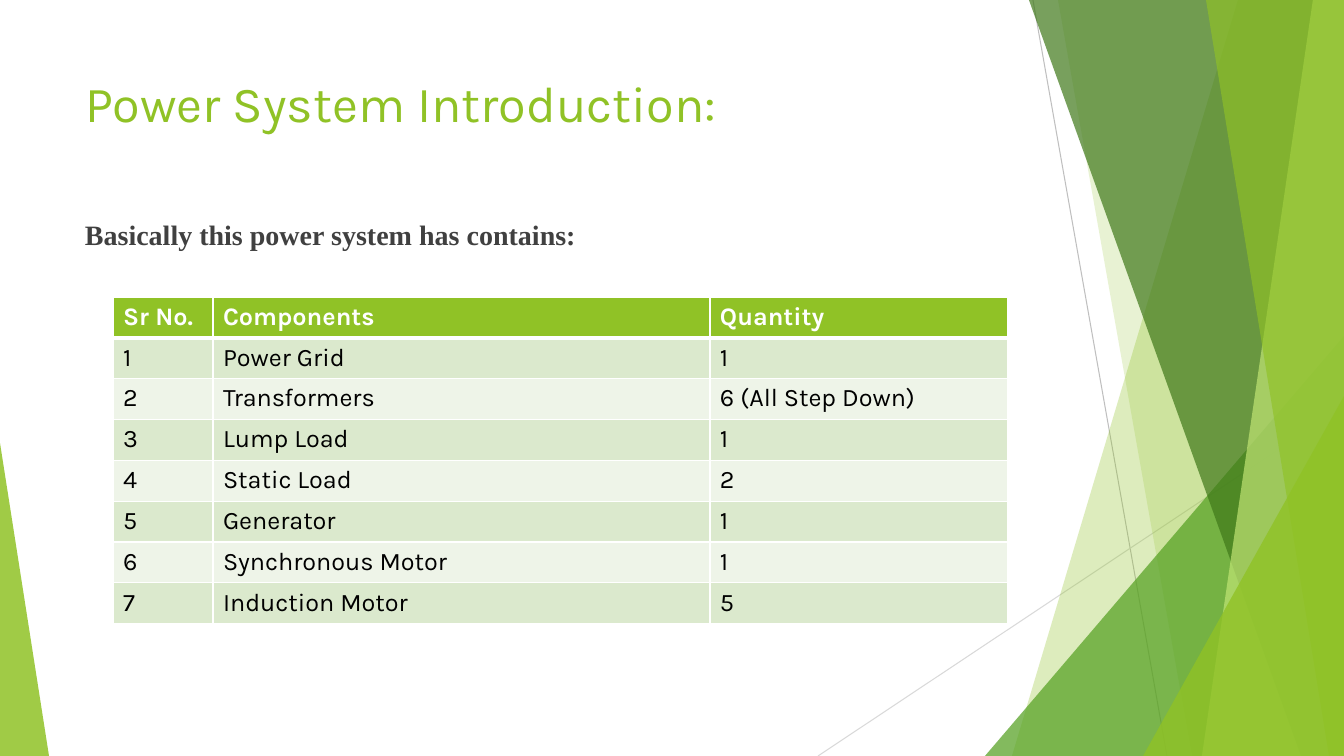
import pptx
import pptx.dml.color
import pptx.enum.shapes
import pptx.enum.text
import pptx.oxml
import pptx.oxml.ns
import pptx.util

RGBColor = pptx.dml.color.RGBColor
GREEN = RGBColor(0x90, 0xC2, 0x26)
LEAF = RGBColor(0x54, 0xA0, 0x21)
FOREST = RGBColor(0x3F, 0x78, 0x19)
LIME = RGBColor(0xC0, 0xE4, 0x74)
LINE_GRAY = RGBColor(0xBF, 0xBF, 0xBF)
PALE_GRAY = RGBColor(0xD9, 0xD9, 0xD9)
TEXT_GRAY = RGBColor(0x40, 0x40, 0x40)
BAND_DARK = RGBColor(0xDB, 0xE9, 0xCD)
BAND_LIGHT = RGBColor(0xEE, 0xF4, 0xE8)
WHITE = RGBColor(0xFF, 0xFF, 0xFF)
BLACK = RGBColor(0, 0, 0)

# Content
TITLE = "Power System Introduction:"
LEAD = "Basically this power system has contains:"
HEADER = ("Sr No.", "Components", "Quantity")
COMPONENTS = [
    ("Power Grid", "1"),
    ("Transformers", "6 (All Step Down)"),
    ("Lump Load", "1"),
    ("Static Load", "2"),
    ("Generator", "1"),
    ("Synchronous Motor", "1"),
    ("Induction Motor", "5"),
]

# Layout in px
WIDTH, HEIGHT = 1344, 756
TITLE_BOX = (75, 67, 948, 145)
LEAD_BOX = (75, 213, 948, 454)
TABLE_LEFT, TABLE_TOP, TABLE_HEIGHT = 113, 297, 327
COLUMN_WIDTHS = (100, 497, 298)

# Decoration, back to front
LINES = [((1033, 0), (1167, HEIGHT), LINE_GRAY),
         ((WIDTH, 406), (818, HEIGHT), PALE_GRAY)]
# Panels run to the right edge: (left at top, left at bottom, colour, opacity %)
# Triangles: (left, top, width, apex position, colour, opacity %)
DECORATION = [
    ("panel", 1238, 1012, GREEN, 30),
    ("panel", 1058, 1192, GREEN, 20),
    ("triangle", 985, 336, 359, 1, LEAF, 72),
    ("panel", 1029, 1301, FOREST, 70),
    ("panel", 1313, 1202, LIME, 70),
    ("panel", 1206, 1329, GREEN, 65),
    ("triangle", 1143, 396, 201, 1, GREEN, 80),
    ("triangle", 0, 443, 49, 0, GREEN, 85),
]

EMU_PER_PX = 914400 / 100.8


def px(length):
    return pptx.util.Emu(round(length * EMU_PER_PX))


def add_run(paragraph, text, size, font, color, bold=False):
    run = paragraph.add_run()
    run.text = text
    run.font.size = pptx.util.Pt(size)
    run.font.name = font
    run.font.color.rgb = color
    run.font.bold = bold


def paint(shape, color, opacity):
    shape.shadow.inherit = False
    shape.fill.solid()
    shape.fill.fore_color.rgb = color
    shape.line.fill.background()
    color_element = shape.element.spPr.find(".//" + pptx.oxml.ns.qn("a:srgbClr"))
    alpha = color_element.makeelement(pptx.oxml.ns.qn("a:alpha"), {"val": str(opacity * 1000)})
    color_element.append(alpha)


def add_panel(shapes, top_left, bottom_left, color, opacity):
    builder = shapes.build_freeform(top_left, 0, scale=EMU_PER_PX)
    builder.add_line_segments([(WIDTH, 0), (WIDTH, HEIGHT), (bottom_left, HEIGHT)], close=True)
    paint(builder.convert_to_shape(), color, opacity)


def add_triangle(shapes, left, top, width, apex, color, opacity):
    triangle = shapes.add_shape(pptx.enum.shapes.MSO_SHAPE.ISOSCELES_TRIANGLE,
                                px(left), px(top), px(width), px(HEIGHT - top))
    triangle.adjustments[0] = apex
    paint(triangle, color, opacity)


def add_thin_line(shapes, start, end, color):
    line = shapes.add_connector(pptx.enum.shapes.MSO_CONNECTOR.STRAIGHT,
                                *(px(value) for value in start + end))
    line.line.color.rgb = color
    line.line.width = pptx.util.Pt(0.75)
    pptx.oxml.ns.qn("a:effectLst")
    properties = line.element.spPr
    properties.append(properties.makeelement(pptx.oxml.ns.qn("a:effectLst"), {}))


def add_borders(cell, is_header, below_header):
    widths = {"L": 1, "R": 1, "T": 3 if below_header else 1, "B": 3 if is_header else 1}
    namespace = pptx.oxml.ns.nsdecls("a")
    properties = cell._tc.get_or_add_tcPr()
    for side, points in widths.items():
        properties.append(pptx.oxml.parse_xml(
            f'<a:ln{side} {namespace} w="{pptx.util.Pt(points)}"><a:solidFill>'
            f'<a:srgbClr val="{WHITE}"/></a:solidFill></a:ln{side}>'))


def place_text(shape, box, text, size, font, color, bold=False):
    shape.left, shape.top, shape.width, shape.height = (px(value) for value in box)
    frame = shape.text_frame
    frame.word_wrap = True
    frame.auto_size = pptx.enum.text.MSO_AUTO_SIZE.NONE
    frame.vertical_anchor = pptx.enum.text.MSO_ANCHOR.TOP
    paragraph = frame.paragraphs[0]
    paragraph.alignment = pptx.enum.text.PP_ALIGN.LEFT
    add_run(paragraph, text, size, font, color, bold)
    return paragraph


def add_component_table(shapes):
    rows = [HEADER] + [(str(number), *row) for number, row in enumerate(COMPONENTS, 1)]
    table = shapes.add_table(len(rows), len(HEADER), px(TABLE_LEFT), px(TABLE_TOP),
                             px(sum(COLUMN_WIDTHS)), px(TABLE_HEIGHT)).table
    for column, width in zip(table.columns, COLUMN_WIDTHS):
        column.width = px(width)
    for row_index, row in enumerate(rows):
        table.rows[row_index].height = px(TABLE_HEIGHT / len(rows))
        is_header = row_index == 0
        band = GREEN if is_header else BAND_DARK if row_index % 2 else BAND_LIGHT
        for column_index, text in enumerate(row):
            cell = table.cell(row_index, column_index)
            add_borders(cell, is_header, row_index == 1)
            cell.fill.solid()
            cell.fill.fore_color.rgb = band
            add_run(cell.text_frame.paragraphs[0], text, 18, "Karla",
                    WHITE if is_header else BLACK, is_header)


def main():
    presentation = pptx.Presentation()
    presentation.slide_width, presentation.slide_height = px(WIDTH), px(HEIGHT)
    slide = presentation.slides.add_slide(presentation.slide_layouts[5])
    shapes = slide.shapes

    # Background decoration
    for start, end, color in LINES:
        add_thin_line(shapes, start, end, color)
    builders = {"panel": add_panel, "triangle": add_triangle}
    for kind, *values in DECORATION:
        builders[kind](shapes, *values)

    # Title and lead sentence
    place_text(shapes.title, TITLE_BOX, TITLE, 36, "Karla", GREEN)
    lead = shapes.add_textbox(0, 0, 0, 0)
    paragraph = place_text(lead, LEAD_BOX, LEAD, 20, "Times New Roman", TEXT_GRAY, True)
    paragraph.space_before = pptx.util.Pt(10)

    # Table
    add_component_table(shapes)
    presentation.save("out.pptx")


if __name__ == "__main__":
    main()
